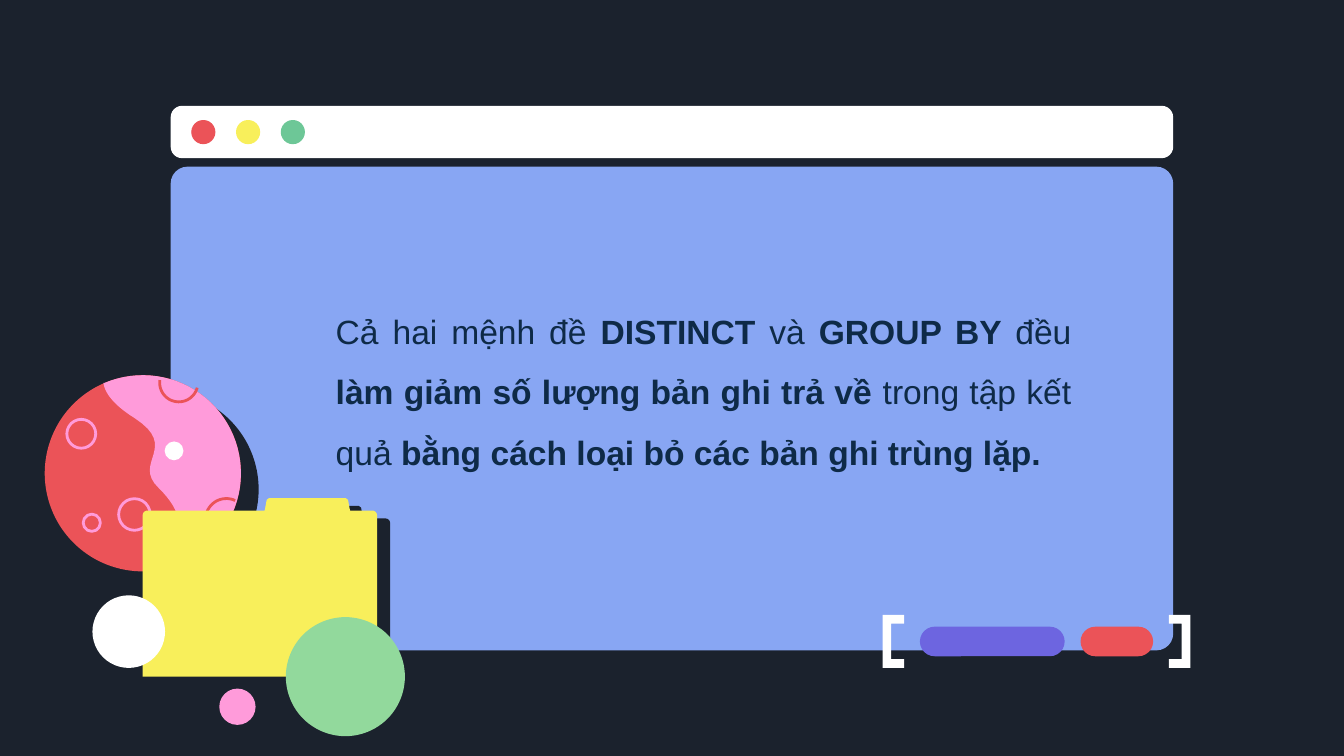
import math
from dataclasses import dataclass

import pptx
import pptx.util
import pptx.dml.color
import pptx.enum.shapes
import pptx.enum.text
import lxml.etree

COLS, ROWS = 100, 56.25         # grid laid over the slide
CELL = pptx.util.Inches(0.1)
KIND = pptx.enum.shapes.MSO_SHAPE
NS = "http://schemas.openxmlformats.org/drawingml/2006/main"


@dataclass(frozen=True)
class Theme:
    dark: str = "1B222D"
    white: str = "FFFFFF"
    blue: str = "88A6F3"
    red: str = "EB5358"
    yellow: str = "F8EF5B"
    green: str = "6DC797"
    mint: str = "92D99C"
    pink: str = "FF9BDA"
    purple: str = "6D65E0"
    ink: str = "0E2A47"
    font: str = "Arial"
    size: float = 18
    ring: float = 1.5


THEME = Theme()


def grid(*cells):
    return [round(c * CELL) for c in cells]


def rgb(code):
    return pptx.dml.color.RGBColor.from_string(code)


def paint(shape, fill=None, line=None):
    """Set a flat fill and line, with no shadow."""
    shape.shadow.inherit = False
    for part, code in ((shape.fill, fill), (shape.line.fill, line)):
        if code:
            part.solid()
            part.fore_color.rgb = rgb(code)
        else:
            part.background()
    if line:
        shape.line.width = pptx.util.Pt(THEME.ring)
    return shape


def disc(slide, x, y, size, fill=None, line=None):
    """Circle given by its centre and diameter."""
    spot = grid(x - size / 2, y - size / 2, size, size)
    return paint(slide.shapes.add_shape(KIND.OVAL, *spot), fill, line)


def panel(slide, box, round_by, fill):
    shape = slide.shapes.add_shape(KIND.ROUNDED_RECTANGLE, *grid(*box))
    shape.adjustments[0] = round_by
    return paint(shape, fill)


def outline(slide, points, fill=None, line=None, close=True):
    dots = [grid(*point) for point in points]
    pen = slide.shapes.build_freeform(*dots[0], scale=1.0)
    pen.add_line_segments(dots[1:], close=close)
    return paint(pen.convert_to_shape(), fill, line)


def curve(a, b, c, d, steps=16):
    """Points along a cubic curve."""
    spots = []
    for i in range(steps + 1):
        t = i / steps
        u = 1 - t
        spots.append(tuple(u**3 * p + 3 * u * u * t * q + 3 * u * t * t * r + t**3 * s
                           for p, q, r, s in zip(a, b, c, d)))
    return spots


def arc(x, y, radius, start, end, steps=48):
    """Points along a circle; degrees run clockwise from the right."""
    turns = [math.radians(start + (end - start) * i / steps) for i in range(steps + 1)]
    return [(x + radius * math.cos(t), y + radius * math.sin(t)) for t in turns]


def window(slide):
    panel(slide, (12.7, 7.87, 74.6, 3.9), 0.22, THEME.white)
    for i, fill in enumerate((THEME.red, THEME.yellow, THEME.green)):
        disc(slide, 15.13 + 3.33 * i, 9.83, 1.8, fill)
    panel(slide, (12.7, 12.4, 74.6, 36), 0.035, THEME.blue)


def planet(slide):
    x, y, size = 10.63, 35.22, 14.6
    disc(slide, x + 1.32, y + 1.2, size, THEME.dark)
    disc(slide, x, y, size, THEME.red)
    # Pink land: the right rim, then the wavy shore back to the top
    land = arc(x, y, size / 2, -113, 75)
    land += curve((12.5, 42.3), (13.8, 39.4), (13.6, 38.1), (11.8, 36.3))
    land += curve((11.8, 36.3), (9.8, 34.4), (13.4, 33.3), (10, 31.1))
    land += curve((10, 31.1), (8.4, 30.1), (7.8, 29.2), (7.7, 28.5))
    outline(slide, land, THEME.pink)
    # Craters, whole on the sea and cut by the rim on the land
    for spot in ((6.05, 32.28, 2.15), (10, 38.28, 2.35), (6.83, 38.9, 1.28)):
        disc(slide, *spot, line=THEME.pink)
    for bend in ((13.3, 28.48, 1.42, 15, 188), (16.85, 38.65, 1.55, 120, 295)):
        outline(slide, arc(*bend), line=THEME.red, close=False)
    disc(slide, 12.95, 33.55, 1.4, THEME.white)


def drop(shape, code, gap, angle):
    """Add a hard drop shadow."""
    effects = shape.element.spPr.find(f"{{{NS}}}effectLst")
    shade = lxml.etree.SubElement(
        effects, f"{{{NS}}}outerShdw", blurRad="0", dist=str(pptx.util.Pt(gap)),
        dir=str(angle * 60000), algn="bl", rotWithShape="0")
    lxml.etree.SubElement(shade, f"{{{NS}}}srgbClr", val=code)


def folder(slide):
    left, right, top, foot = 10.62, 28.06, 38, 50.35
    edge = [(left, foot)]
    edge += arc(left + 0.35, top + 0.35, 0.35, 180, 270, 6)
    edge += [(19.7, top), (19.85, 37.2), (20.03, 37.06),
             (25.72, 37.06), (25.9, 37.2), (26.05, top)]
    edge += arc(right - 0.35, top + 0.35, 0.35, 270, 360, 6)
    edge += [(right, foot)]
    drop(outline(slide, edge, THEME.yellow), THEME.dark, 8.2, 31)


def bracket(slide, back, way):
    """Square bracket from its back edge; way is 1 for open, -1 for close."""
    top, foot, bar = 45.75, 49.7, 0.65
    tip, inner = back + 1.6 * way, back + bar * way
    outline(slide, [(back, top), (tip, top), (tip, top + bar), (inner, top + bar),
                    (inner, foot - bar), (tip, foot - bar), (tip, foot), (back, foot)],
            THEME.white)


def badge(slide):
    bracket(slide, 65.67, 1)
    panel(slide, (68.45, 46.63, 10.77, 2.2), 0.5, THEME.purple)
    panel(slide, (80.4, 46.63, 5.4, 2.2), 0.5, THEME.red)
    bracket(slide, 88.58, -1)


def body(slide, box, runs):
    frame = slide.shapes.add_textbox(*grid(*box)).text_frame
    frame.word_wrap = True
    frame.auto_size = pptx.enum.text.MSO_AUTO_SIZE.SHAPE_TO_FIT_TEXT
    para = frame.paragraphs[0]
    para.alignment = pptx.enum.text.PP_ALIGN.JUSTIFY
    para.line_spacing = 1.5
    for text, bold in runs:
        run = para.add_run()
        run.text = text
        run.font.name = THEME.font
        run.font.size = pptx.util.Pt(THEME.size)
        run.font.bold = bold
        run.font.color.rgb = rgb(THEME.ink)


def main():
    deck = pptx.Presentation()
    deck.slide_width, deck.slide_height = grid(COLS, ROWS)
    slide = deck.slides.add_slide(deck.slide_layouts[6])
    slide.background.fill.solid()
    slide.background.fill.fore_color.rgb = rgb(THEME.dark)

    window(slide)
    planet(slide)
    folder(slide)
    disc(slide, 25.7, 50.35, 8.86, THEME.mint)
    badge(slide)
    disc(slide, 9.58, 47, 5.4, THEME.white)
    disc(slide, 17.67, 52.59, 2.7, THEME.pink)
    body(slide, (24, 21.14, 56.7, 14.1), [
        ("Cả hai mệnh đề ", False),
        ("DISTINCT", True),
        (" và ", False),
        ("GROUP BY ", True),
        ("đều ", False),
        ("làm giảm số lượng bản ghi trả về ", True),
        ("trong tập kết quả ", False),
        ("bằng cách loại bỏ các bản ghi trùng lặp. ", True),
    ])
    deck.save("out.pptx")


if __name__ == "__main__":
    main()
